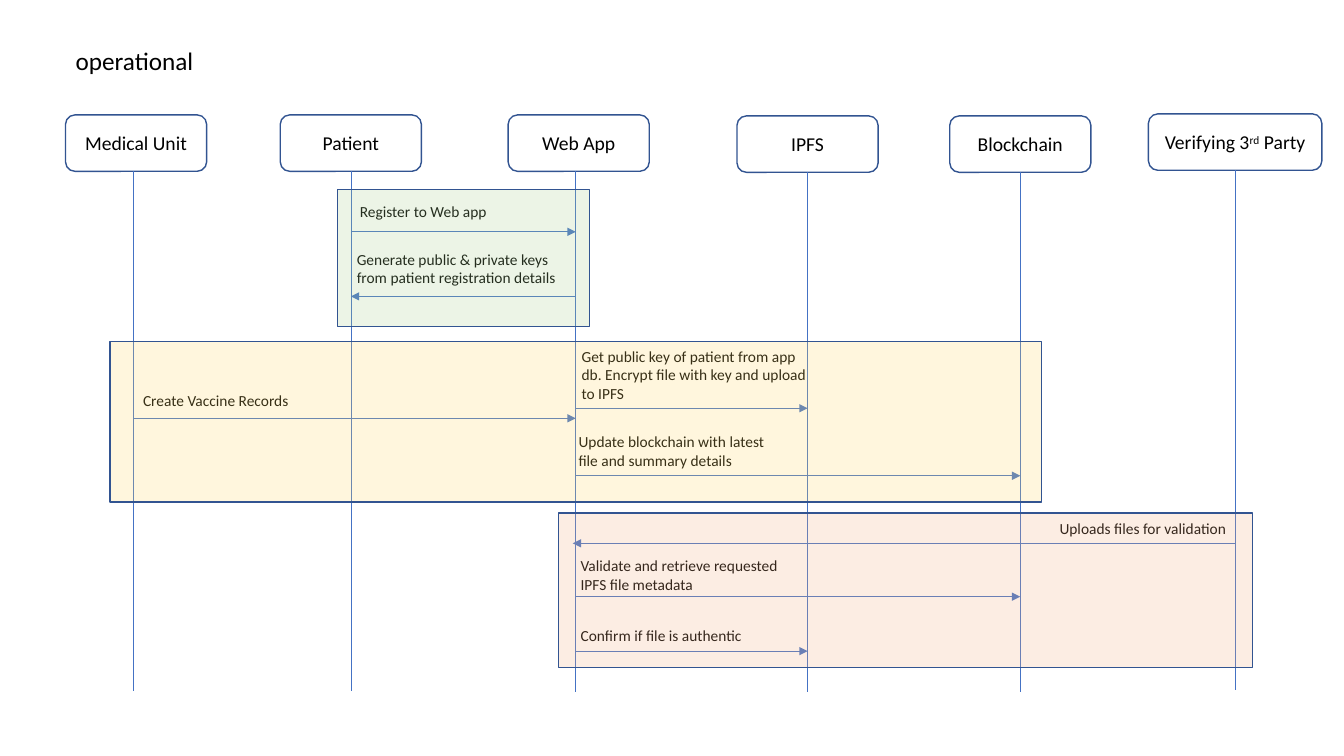
from lxml.etree import SubElement
from pptx import Presentation
from pptx.dml.color import RGBColor
from pptx.enum.shapes import MSO_CONNECTOR as Conn, MSO_SHAPE as Kind
from pptx.enum.text import MSO_ANCHOR as Anchor, MSO_AUTO_SIZE as Auto, PP_ALIGN as Align
from pptx.oxml.ns import qn
from pptx.util import Pt

PX = 9144
BLACK = RGBColor(0x00, 0x00, 0x00)
WHITE = RGBColor(0xFF, 0xFF, 0xFF)
NAVY = RGBColor(0x32, 0x54, 0x91)
BLUE = RGBColor(0x44, 0x72, 0xC4)
GOLD = RGBColor(0xFF, 0xD9, 0x66)
GREEN = RGBColor(0xA9, 0xD1, 0x8E)
PEACH = RGBColor(0xF4, 0xB1, 0x83)

TITLE = "operational"
ACTORS = [
    (["Medical Unit"], 65, 114, 140, 132, 686),
    (["Patient"], 278, 114, 140, 348, 686),
    (["Web App"], 504, 114, 140, 571, 687),
    (["IPFS"], 731, 115, 140, 801, 687),
    (["Blockchain"], 942, 115, 140, 1012, 687),
    (["Verifying 3", "rd", " Party"], 1139, 113, 172, 1225, 685),
]
HIGH = 56
MED, PAT, WEB, IPFS, CHAIN, THIRD = [actor[4] for actor in ACTORS]
STEPS = [
    ("Register to Web app", 347, 196, 264, 29, PAT, WEB, 230),
    ("Generate public & private keys from patient registration details",
     344, 243, 241, 47, WEB, PAT, 294),
    ("Create Vaccine Records", 132, 383, 388, 29, MED, WEB, 415),
    ("Get public key of patient from app db. Encrypt file with key and upload to IPFS",
     567, 339, 243, 66, WEB, IPFS, 405),
    ("Update blockchain with latest file and summary details",
     564, 424, 210, 47, WEB, CHAIN, 472),
    ("Uploads files for validation", 1041, 510, 225, 29, THIRD, WEB - 3, 539),
    ("Validate and retrieve requested IPFS file metadata",
     566, 547, 232, 47, WEB, CHAIN, 592),
    ("Confirm if file is authentic", 566, 616, 298, 29, WEB, IPFS, 646),
]
PHASES = [
    (GOLD, 109, 339, 924, 159),
    (GREEN, 335, 188, 250, 136),
    (PEACH, 554, 509, 688, 153),
]

deck = Presentation()
deck.slide_width, deck.slide_height = 1333 * PX, 750 * PX
slide = deck.slides.add_slide(deck.slide_layouts[5])
shapes = slide.shapes


def scale(*nums):
    return [num * PX for num in nums]


def write(shape, parts, size=11, align=Align.LEFT, anchor=Anchor.TOP):
    frame = shape.text_frame
    frame.word_wrap = True
    frame.auto_size = Auto.NONE
    frame.vertical_anchor = anchor
    para = frame.paragraphs[0]
    para.alignment = align
    for part in parts:
        run = para.add_run()
        run.text = part
        run.font.name = "Calibri"
        run.font.size = Pt(size)
        run.font.color.rgb = BLACK
        if part == "rd":
            run.font._element.set("baseline", "30000")


def block(kind, fill, *box):
    shape = shapes.add_shape(kind, *scale(*box))
    shape.shadow.inherit = False
    shape.fill.solid()
    shape.fill.fore_color.rgb = fill
    shape.line.color.rgb = NAVY
    shape.line.width = Pt(1)
    return shape


def link(*ends, arrow=False):
    line = shapes.add_connector(Conn.STRAIGHT, *scale(*ends))
    line.line.color.rgb = BLUE
    line.line.width = Pt(0.5)
    if arrow:
        SubElement(line.line._get_or_add_ln(), qn("a:tailEnd"), type="triangle")
    SubElement(line._element.spPr, qn("a:effectLst"))
    return line


head = shapes.title
head.left, head.top, head.width, head.height = scale(65, 40, 564, 40)
write(head, [TITLE], size=18)

for name, left, top, wide, axis, end in ACTORS:
    box = block(Kind.ROUNDED_RECTANGLE, WHITE, left, top, wide, HIGH)
    write(box, name, size=14, align=Align.CENTER, anchor=Anchor.MIDDLE)
    life = link(axis, top + HIGH, axis, end)
    if axis == left + wide // 2:
        life.begin_connect(box, 2)

for text, left, top, wide, high, start, end, level in STEPS:
    link(start, level, end, level, arrow=True)
    write(shapes.add_textbox(*scale(left, top, wide, high)), [text])

for color, *box in PHASES:
    phase = block(Kind.RECTANGLE, color, *box)
    tint = phase._element.spPr.find(qn("a:solidFill"))[0]
    SubElement(tint, qn("a:alpha"), val="22000")

deck.save("out.pptx")
